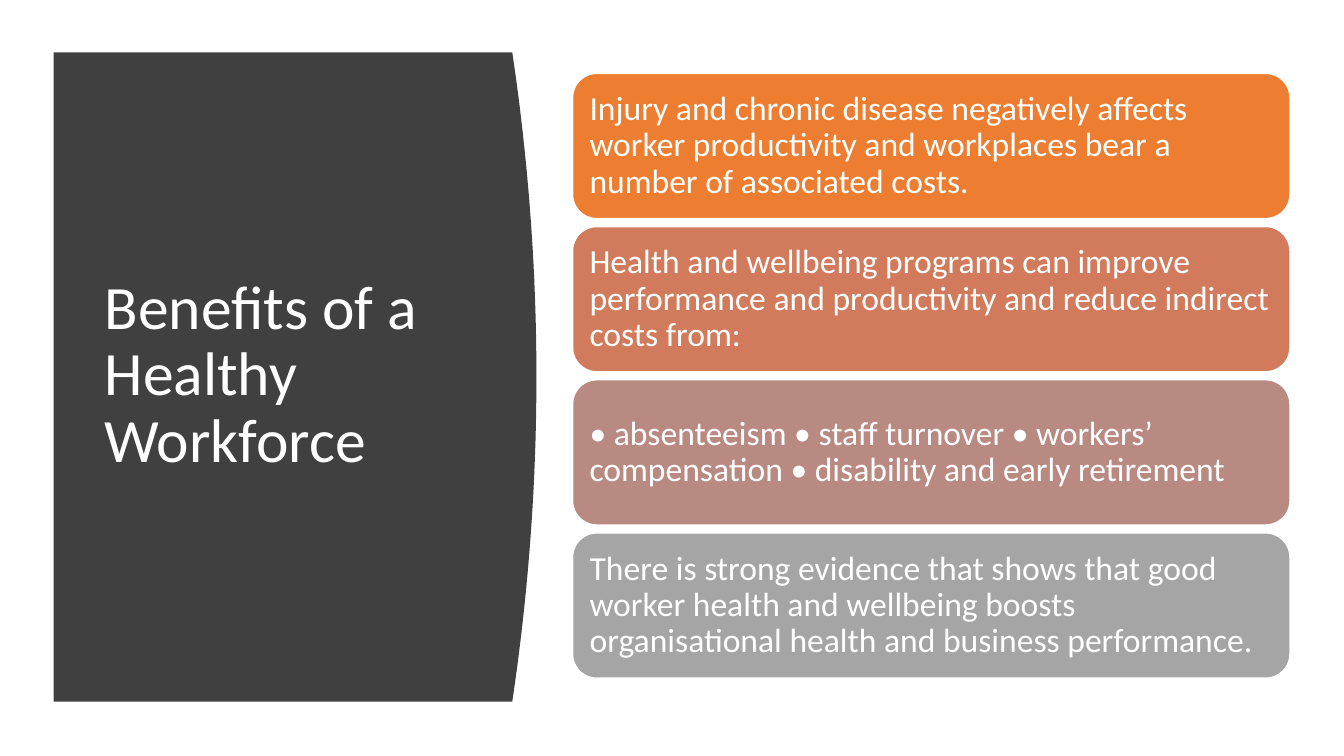
from pptx import Presentation
from pptx.dml.color import RGBColor
from pptx.enum.shapes import MSO_SHAPE
from pptx.enum.text import MSO_ANCHOR, PP_ALIGN
from pptx.util import Cm, Pt

WHITE = RGBColor(0xFF, 0xFF, 0xFF)
CHARCOAL = RGBColor(0x40, 0x40, 0x40)
ORANGE = RGBColor(0xED, 0x7D, 0x31)
TERRACOTTA = RGBColor(0xD1, 0x7B, 0x5C)
DUSTY_ROSE = RGBColor(0xB9, 0x8A, 0x82)
GRAY = RGBColor(0xA5, 0xA5, 0xA5)

TITLE = "Benefits of a Healthy Workforce"
BENEFITS = [
    ("Injury and chronic disease negatively affects worker productivity "
     "and workplaces bear a number of associated costs.", ORANGE),
    ("Health and wellbeing programs can improve performance and "
     "productivity and reduce indirect costs from:", TERRACOTTA),
    ("• absenteeism • staff turnover • workers’ compensation "
     "• disability and early retirement", DUSTY_ROSE),
    ("There is strong evidence that shows that good worker health and wellbeing "
     "boosts organisational health and business performance.", GRAY),
]


def write_text(shape, text, size):
    """Set white, left-aligned, vertically centred text in a shape."""
    frame = shape.text_frame
    frame.word_wrap = True
    frame.vertical_anchor = MSO_ANCHOR.MIDDLE
    para = frame.paragraphs[0]
    para.alignment = PP_ALIGN.LEFT
    para.line_spacing = 0.9
    span = para.add_run()
    span.text = text
    span.font.name = "Calibri"
    span.font.size = Pt(size)
    span.font.color.rgb = WHITE


def add_title_panel(page, left, top, width, height):
    """Draw the dark panel with its bulging right edge and the title."""
    bulge = 0.05 * width
    steps = 40
    edge = []
    for step in range(steps + 1):
        offset = 2 * step / steps - 1
        edge.append((left + width - bulge * offset ** 2,
                     top + height * step / steps))
    builder = page.shapes.build_freeform(Cm(left), Cm(top))
    builder.add_line_segments(
        [(Cm(x), Cm(y)) for x, y in edge + [(left, top + height)]], close=True)
    panel = builder.convert_to_shape()
    panel.shadow.inherit = False
    panel.fill.solid()
    panel.fill.fore_color.rgb = CHARCOAL
    panel.line.fill.background()

    title = page.shapes.add_textbox(
        Cm(left + 1.04), Cm(top + 1.5), Cm(width - 2.67), Cm(height - 3.05))
    write_text(title, TITLE, 44)


def add_benefit_cards(page, left, top, width, height):
    """Stack the rounded benefit cards evenly in the given box."""
    gap = 0.2
    card_height = (height - gap * (len(BENEFITS) - 1)) / len(BENEFITS)
    for index, (text, color) in enumerate(BENEFITS):
        card = page.shapes.add_shape(
            MSO_SHAPE.ROUNDED_RECTANGLE, Cm(left),
            Cm(top + index * (card_height + gap)), Cm(width), Cm(card_height))
        card.shadow.inherit = False
        card.fill.solid()
        card.fill.fore_color.rgb = color
        card.line.color.rgb = WHITE
        card.line.width = Pt(1)
        write_text(card, text, 24)


def main():
    """Build the slide and save the deck."""
    deck = Presentation()
    deck.slide_width, deck.slide_height = Cm(33.87), Cm(19.05)
    page = deck.slides.add_slide(deck.slide_layouts[6])
    add_title_panel(page, 1.35, 1.32, 12.17, 16.36)
    add_benefit_cards(page, 14.43, 1.85, 18.08, 15.24)
    deck.save("out.pptx")


if __name__ == "__main__":
    main()
